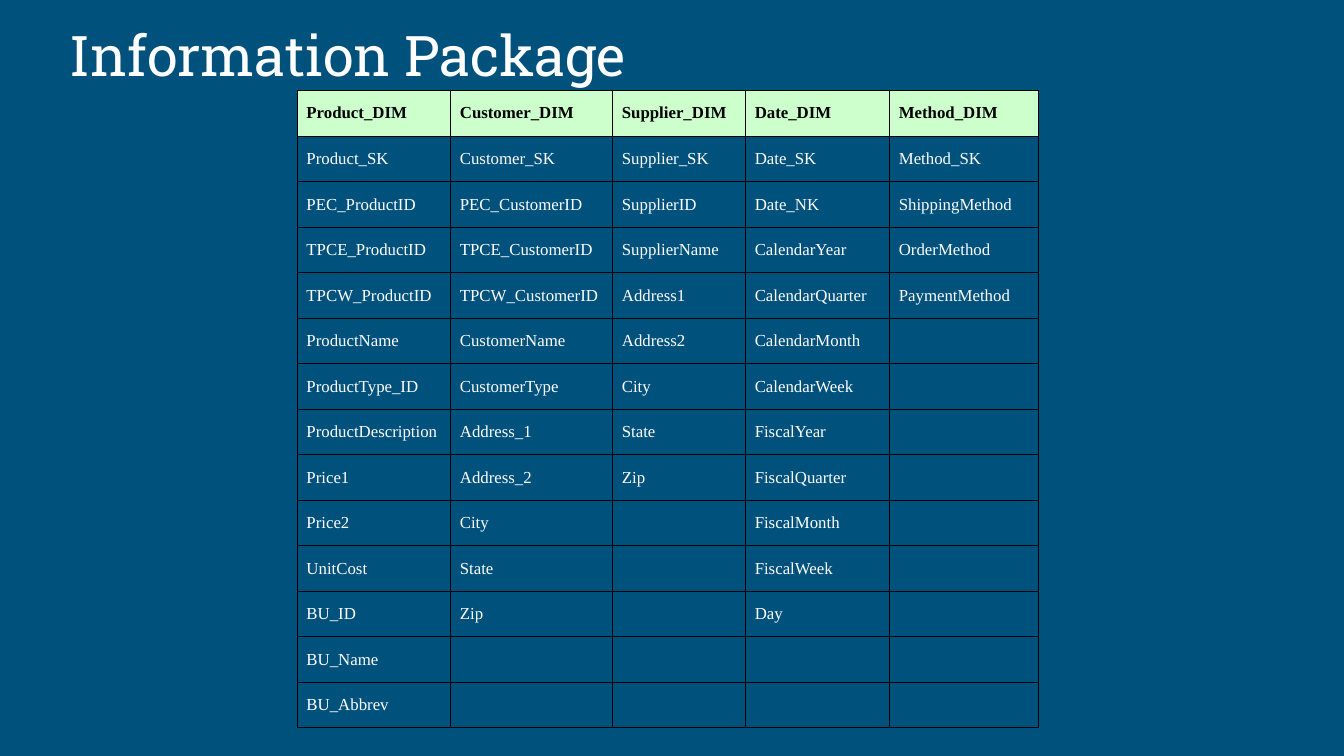
"""Build the Information Package slide with its table of dimensions."""
from itertools import zip_longest

from lxml.etree import SubElement
from pptx import Presentation
from pptx.dml.color import RGBColor
from pptx.enum.text import MSO_ANCHOR as Anchor, MSO_AUTO_SIZE as AutoSize, PP_ALIGN as Align
from pptx.oxml.ns import qn
from pptx.util import Pt

TITLE = "Information Package"
DIMENSIONS = {
    "Product_DIM": [
        "Product_SK", "PEC_ProductID", "TPCE_ProductID", "TPCW_ProductID", "ProductName",
        "ProductType_ID", "ProductDescription", "Price1", "Price2", "UnitCost",
        "BU_ID", "BU_Name", "BU_Abbrev"],
    "Customer_DIM": [
        "Customer_SK", "PEC_CustomerID", "TPCE_CustomerID", "TPCW_CustomerID", "CustomerName",
        "CustomerType", "Address_1", "Address_2", "City", "State", "Zip"],
    "Supplier_DIM": [
        "Supplier_SK", "SupplierID", "SupplierName", "Address1", "Address2",
        "City", "State", "Zip"],
    "Date_DIM": [
        "Date_SK", "Date_NK", "CalendarYear", "CalendarQuarter", "CalendarMonth",
        "CalendarWeek", "FiscalYear", "FiscalQuarter", "FiscalMonth", "FiscalWeek", "Day"],
    "Method_DIM": ["Method_SK", "ShippingMethod", "OrderMethod", "PaymentMethod"],
}
COLUMN_WIDTHS = [82.2, 86.8, 71.2, 77.2, 79.8]
ROW_HEIGHT = 24.4
TABLE_LEFT, TABLE_TOP = 159.2, 48.5
NAVY, WHITE, BLACK, MINT = "00517C", "FFFFFF", "000000", "CCFFCC"
THIN, THICK = 0.25, 0.5
EDGES = {"lnL": (0, -1), "lnR": (0, 1), "lnT": (-1, 0), "lnB": (1, 0)}


def color(value):
    return RGBColor.from_string(value)


def write(frame, text, font="Times New Roman", size=9, fill=WHITE, bold=False):
    para = frame.paragraphs[0]
    para.alignment = Align.LEFT
    span = para.add_run()
    span.text = text
    span.font.name = font
    span.font.size = Pt(size)
    span.font.bold = bold
    span.font.color.rgb = color(fill)


def set_margins(target, side, vertical):
    target.margin_left = target.margin_right = Pt(side)
    target.margin_top = target.margin_bottom = Pt(vertical)


def add_borders(cell, widths):
    properties = cell._tc.get_or_add_tcPr()
    for position, (edge, width) in enumerate(widths.items()):
        line = SubElement(properties, qn(f"a:{edge}"), w=str(Pt(width)))
        fill = SubElement(line, qn("a:solidFill"))
        SubElement(fill, qn("a:srgbClr"), val=BLACK)
        properties.insert(position, line)


def border_widths(rows, row, column):
    def is_blank(r, c):
        return 0 <= r < len(rows) and 0 <= c < len(rows[r]) and not rows[r][c]

    return {
        edge: THICK if is_blank(row, column) or is_blank(row + down, column + across) else THIN
        for edge, (down, across) in EDGES.items()}


def add_title(page):
    title = page.shapes.title
    title.left, title.top, title.width, title.height = Pt(30.2), Pt(0), Pt(659), Pt(54)
    frame = title.text_frame
    frame.auto_size = AutoSize.NONE
    frame.word_wrap = True
    frame.vertical_anchor = Anchor.BOTTOM
    set_margins(frame, 7.2, 7.2)
    write(frame, TITLE, font="Roboto Slab", size=30)


def add_dimension_table(page):
    rows = [tuple(DIMENSIONS), *zip_longest(*DIMENSIONS.values(), fillvalue="")]
    table = page.shapes.add_table(
        len(rows), len(COLUMN_WIDTHS), Pt(TABLE_LEFT), Pt(TABLE_TOP),
        Pt(sum(COLUMN_WIDTHS)), Pt(ROW_HEIGHT * len(rows))).table
    table.first_row = table.horz_banding = False
    for column, width in zip(table.columns, COLUMN_WIDTHS):
        column.width = Pt(width)
    for r, texts in enumerate(rows):
        table.rows[r].height = Pt(ROW_HEIGHT)
        for c, text in enumerate(texts):
            cell = table.cell(r, c)
            cell.vertical_anchor = Anchor.MIDDLE
            if r == 0:
                cell.fill.solid()
                cell.fill.fore_color.rgb = color(MINT)
            else:
                cell.fill.background()
            if text:
                set_margins(cell, 5, 6.8)
                write(cell.text_frame, text, fill=WHITE if r else BLACK, bold=r == 0)
            else:
                set_margins(cell, 5, 0)
            add_borders(cell, border_widths(rows, r, c))


def main():
    deck = Presentation()
    deck.slide_width, deck.slide_height = Pt(720), Pt(405)
    page = deck.slides.add_slide(deck.slide_layouts[5])
    page.background.fill.solid()
    page.background.fill.fore_color.rgb = color(NAVY)
    add_title(page)
    add_dimension_table(page)
    deck.save("out.pptx")


if __name__ == "__main__":
    main()
